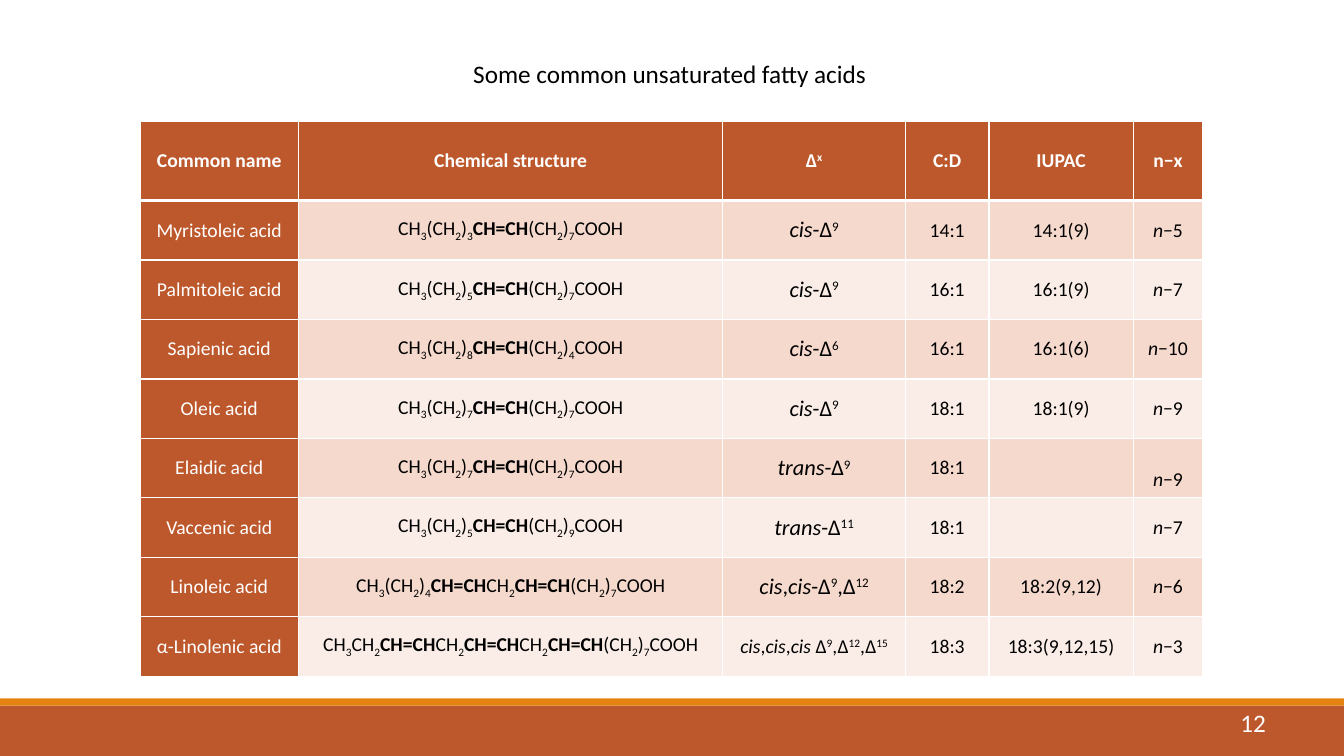
import dataclasses
import itertools
import typing

import lxml.etree
import pptx
import pptx.dml.color
import pptx.enum.shapes
import pptx.enum.text
import pptx.oxml.ns
import pptx.util

Inches = pptx.util.Inches
Pt = pptx.util.Pt


@dataclasses.dataclass(frozen=True)
class Theme:
    font: str = "Calibri"
    rust: str = "BD582C"
    orange: str = "E48312"
    bands: tuple[str, str] = ("F5D9CC", "FAEDE7")
    white: str = "FFFFFF"
    black: str = "000000"
    title: int = 18
    body: int = 14
    delta: int = 16
    sub: int = -25000
    sup: int = 30000


class Run(typing.NamedTuple):
    text: str
    bold: bool = False
    italic: bool = False
    baseline: int = 0


class Acid(typing.NamedTuple):
    name: str
    structure: str
    delta: str
    ratio: str
    iupac: str
    n_minus: str
    delta_size: int = 16
    n_drop: float = 0


class Bar(typing.NamedTuple):
    top: float
    height: float
    color: str


class Label(typing.NamedTuple):
    left: float
    top: float
    width: float
    text: str
    color: str


THEME = Theme()
BARS = [Bar(7, 0.5, THEME.rust), Bar(6.93, 0.07, THEME.orange)]
LABELS = [
    Label(3.96, 0.53, 5.42, "Some common unsaturated fatty acids ", THEME.black),
    Label(12.2, 6.97, 0.46, "12", THEME.white),
]
COLUMNS = [1.57, 4.21, 1.81, 0.83, 1.43, 0.69]
HEADER_HEIGHT, ROW_HEIGHT = 0.79, 0.59
HEADER = ["Common name", "Chemical structure", "Δ", "C:D", "IUPAC", "n−x"]
ACIDS = [
    Acid("Myristoleic acid", "CH3(CH2)3CH=CH(CH2)7COOH", "cis-Δ9", "14:1", "14:1(9)", "−5"),
    Acid("Palmitoleic acid", "CH3(CH2)5CH=CH(CH2)7COOH", "cis-Δ9", "16:1", "16:1(9)", "−7"),
    Acid("Sapienic acid", "CH3(CH2)8CH=CH(CH2)4COOH", "cis-Δ6", "16:1", "16:1(6)", "−10"),
    Acid("Oleic acid", "CH3(CH2)7CH=CH(CH2)7COOH", "cis-Δ9", "18:1", "18:1(9)", "−9"),
    Acid("Elaidic acid", "CH3(CH2)7CH=CH(CH2)7COOH", "trans-Δ9", "18:1", "", "−9", n_drop=0.24),
    Acid("Vaccenic acid", "CH3(CH2)5CH=CH(CH2)9COOH", "trans-Δ11", "18:1", "", "−7"),
    Acid("Linoleic acid", "CH3(CH2)4CH=CHCH2CH=CH(CH2)7COOH", "cis,cis-Δ9,Δ12",
         "18:2", "18:2(9,12)", "−6"),
    Acid("α-Linolenic acid", "CH3CH2CH=CHCH2CH=CHCH2CH=CH(CH2)7COOH",
         "cis,cis,cis Δ9,Δ12,Δ15", "18:3", "18:3(9,12,15)", "−3", delta_size=THEME.body),
]


def rgb(color: str) -> pptx.dml.color.RGBColor:
    return pptx.dml.color.RGBColor.from_string(color)


def structure_runs(formula: str) -> list[Run]:
    """Bold double bonds and subscript digits."""
    runs = []
    for i, part in enumerate(formula.split("CH=CH")):
        if i:
            runs.append(Run("CH=CH", bold=True))
        for is_digit, chars in itertools.groupby(part, str.isdigit):
            runs.append(Run("".join(chars), baseline=THEME.sub if is_digit else 0))
    return runs


def delta_runs(notation: str) -> list[Run]:
    """Italic cis and trans, superscript digits."""
    groups = itertools.groupby(notation, lambda ch: (ch.islower(), ch.isdigit()))
    return [Run("".join(chars), italic=lower, baseline=THEME.sup if digit else 0)
            for (lower, digit), chars in groups]


def write_runs(tf: typing.Any, runs: list[Run], size: int, color: str) -> None:
    p = tf.paragraphs[0]
    p.alignment = pptx.enum.text.PP_ALIGN.CENTER
    for run in runs:
        r = p.add_run()
        r.text = run.text
        r.font.name = THEME.font
        r.font.size = Pt(size)
        r.font.bold = run.bold
        r.font.italic = run.italic
        r.font.color.rgb = rgb(color)
        if run.baseline:
            r._r.get_or_add_rPr().set("baseline", str(run.baseline))


def set_borders(cell: typing.Any, widths: dict[str, float]) -> None:
    tc_pr = cell._tc.get_or_add_tcPr()
    qn = pptx.oxml.ns.qn
    for side, width in widths.items():
        ln = lxml.etree.SubElement(tc_pr, qn(f"a:ln{side}"), w=str(Pt(width)))
        fill = lxml.etree.SubElement(ln, qn("a:solidFill"))
        lxml.etree.SubElement(fill, qn("a:srgbClr"), val=THEME.white)


def fill_cell(cell: typing.Any, runs: list[Run], fill: str, color: str,
              size: int = THEME.body, top: float = 1, bottom: float = 1) -> None:
    set_borders(cell, {"L": 1, "R": 1, "T": top, "B": bottom})
    cell.fill.solid()
    cell.fill.fore_color.rgb = rgb(fill)
    cell.vertical_anchor = pptx.enum.text.MSO_ANCHOR.MIDDLE
    write_runs(cell.text_frame, runs, size, color)


def add_bar(slide: typing.Any, bar: Bar, width: int) -> None:
    sp = slide.shapes.add_shape(pptx.enum.shapes.MSO_SHAPE.RECTANGLE, 0, Inches(bar.top),
                                width, Inches(bar.height))
    sp.shadow.inherit = False
    sp.fill.solid()
    sp.fill.fore_color.rgb = rgb(bar.color)
    sp.line.fill.background()


def add_label(slide: typing.Any, label: Label) -> None:
    sp = slide.shapes.add_textbox(Inches(label.left), Inches(label.top),
                                  Inches(label.width), Inches(0.4))
    sp.text_frame.word_wrap = True
    write_runs(sp.text_frame, [Run(label.text)], THEME.title, label.color)


def add_acid_table(slide: typing.Any) -> None:
    height = HEADER_HEIGHT + ROW_HEIGHT * len(ACIDS)
    table = slide.shapes.add_table(len(ACIDS) + 1, len(COLUMNS), Inches(1.39), Inches(1.2),
                                   Inches(sum(COLUMNS)), Inches(height)).table
    table.horz_banding = False
    for column, width in zip(table.columns, COLUMNS):
        column.width = Inches(width)
    for i, row in enumerate(table.rows):
        row.height = Inches(ROW_HEIGHT if i else HEADER_HEIGHT)

    # Header row
    for col, title in enumerate(HEADER):
        runs = [Run(title, bold=True)]
        if title == "Δ":
            runs.append(Run("x", bold=True, baseline=THEME.sup))
        fill_cell(table.cell(0, col), runs, THEME.rust, THEME.white, bottom=3)

    # One row per acid
    for i, acid in enumerate(ACIDS):
        contents = [
            [Run(acid.name)],
            structure_runs(acid.structure),
            delta_runs(acid.delta),
            [Run(acid.ratio)],
            [Run(acid.iupac)] if acid.iupac else [],
            [Run("n", italic=True), Run(acid.n_minus)],
        ]
        for col, runs in enumerate(contents):
            fill_cell(table.cell(i + 1, col), runs,
                      THEME.bands[i % 2] if col else THEME.rust,
                      THEME.black if col else THEME.white,
                      size=acid.delta_size if col == 2 else THEME.body,
                      top=1 if i else 3)
        if acid.n_drop:
            table.cell(i + 1, 5).margin_top = Inches(0.05 + acid.n_drop)


def main() -> None:
    prs = pptx.Presentation()
    prs.slide_width, prs.slide_height = Inches(13.33), Inches(7.5)
    slide = prs.slides.add_slide(prs.slide_layouts[6])

    # Footer bars, table, then title and page number
    for bar in BARS:
        add_bar(slide, bar, prs.slide_width)
    add_acid_table(slide)
    for label in LABELS:
        add_label(slide, label)

    prs.save("out.pptx")


if __name__ == "__main__":
    main()
